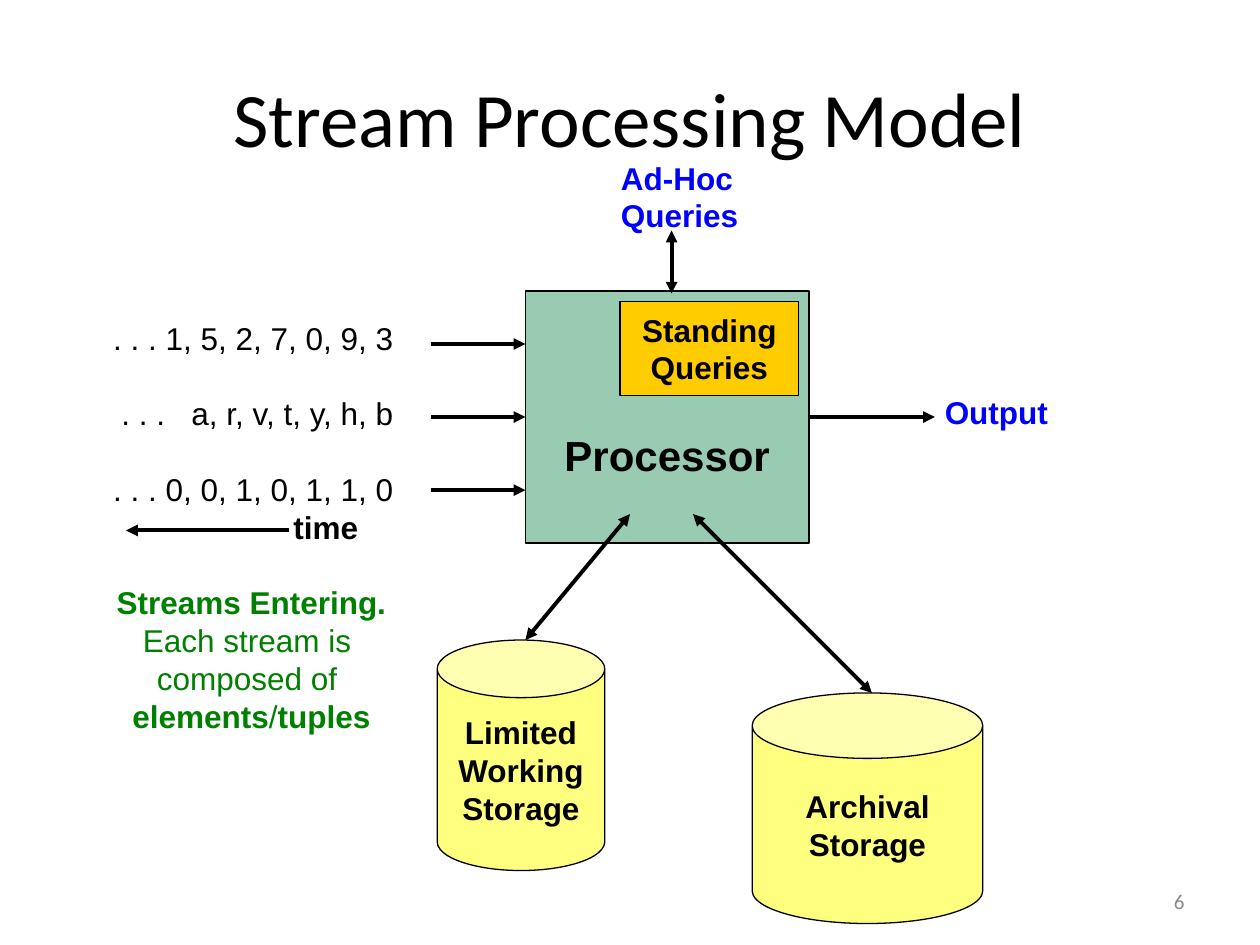
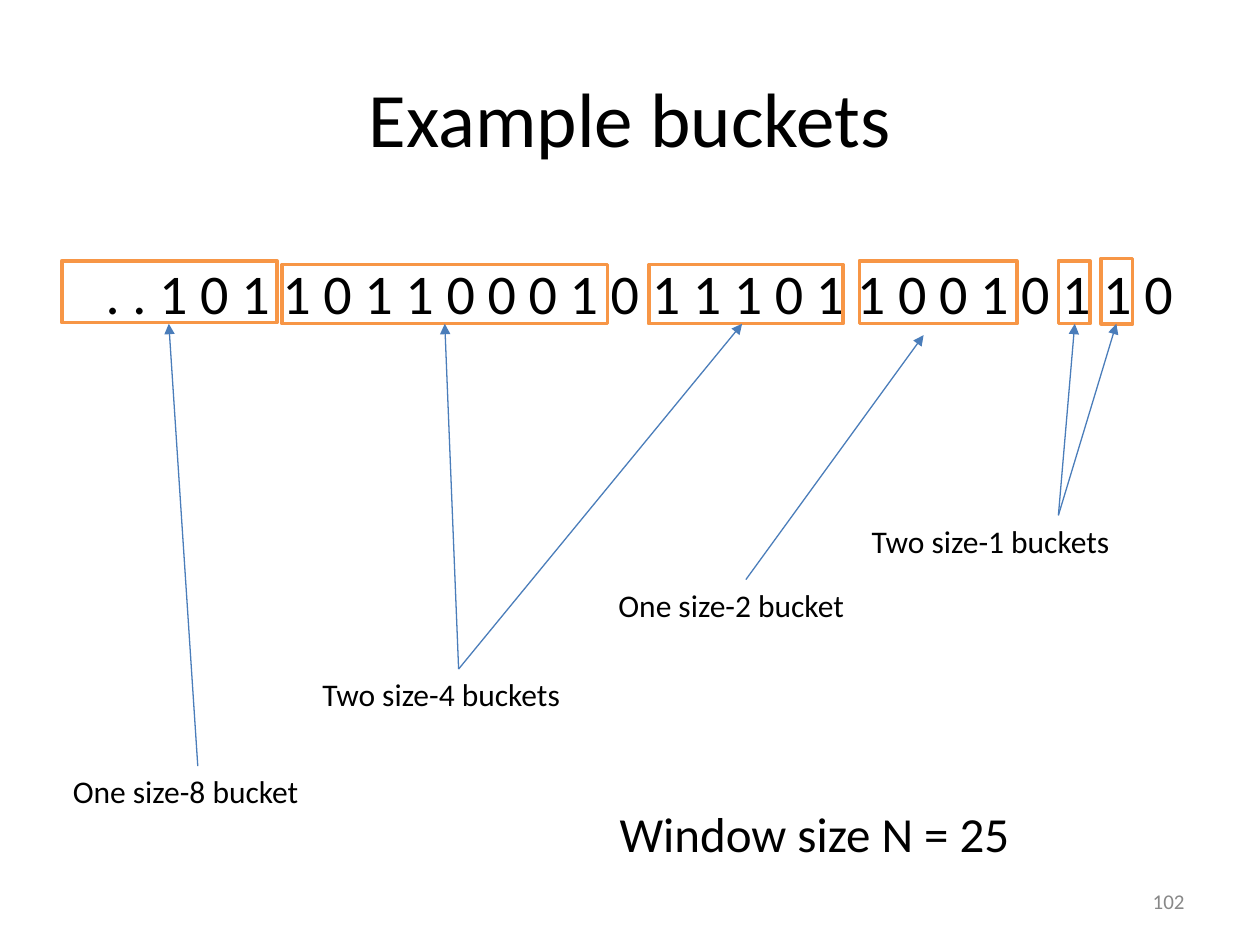
from dataclasses import dataclass

from lxml.etree import SubElement
from pptx import Presentation
from pptx.dml.color import RGBColor
from pptx.enum.shapes import MSO_CONNECTOR, MSO_SHAPE
from pptx.enum.text import MSO_ANCHOR, PP_ALIGN
from pptx.oxml.ns import qn
from pptx.util import Emu, Pt

EMU_PER_PX = 9144


@dataclass(frozen=True)
class Theme:
    black: str = "000000"
    gray: str = "888888"
    blue: str = "0000FF"
    green: str = "008000"
    processor_fill: str = "339966"
    storage_fill: str = "FFFF00"
    query_fill: str = "FFCC00"
    bucket_line: str = "F79646"
    pointer: str = "4A7DBA"
    heading_font: str = "Calibri"
    diagram_font: str = "Arial"
    title_size: int = 44
    bits_size: int = 32
    note_size: int = 28
    processor_size: int = 24
    label_size: int = 18
    number_size: int = 12
    outline: float = 0.75
    bucket_outline: float = 2
    flow: float = 2.25


THEME = Theme()
DIAGRAM_LEADING = 1.2
LABEL_LINE = THEME.label_size * DIAGRAM_LEADING


def px(length):
    return Emu(length * EMU_PER_PX)


def write(box, text, *, size=THEME.label_size, font=THEME.heading_font, color=THEME.black,
          bold=False, align=PP_ALIGN.LEFT, indent=0, before=0):
    frame = box.text_frame
    lines = [[(line, {})] for line in text.split("\n")] if isinstance(text, str) else [text]
    for spans in lines:
        para = frame.paragraphs[-1]
        if para.runs:
            para = frame.add_paragraph()
        para.alignment = align
        para.space_before = Pt(before)
        if font == THEME.diagram_font:
            para.line_spacing = Pt(size * DIAGRAM_LEADING)
        if indent:
            para._p.get_or_add_pPr().set("marL", str(px(indent)))
        for words, changes in spans:
            span = para.add_run()
            span.text = words
            span.font.size = Pt(size)
            span.font.name = font
            span.font.bold = changes.get("bold", bold)
            span.font.color.rgb = RGBColor.from_string(color)
            if "tracking" in changes:
                span._r.get_or_add_rPr().set("spc", str(changes["tracking"] * 100))


def write_diagram(box, text, **text_format):
    write(box, text, **{"font": THEME.diagram_font, "bold": True, **text_format})


def set_frame(box, anchor, top_inset=5):
    frame = box.text_frame
    frame.word_wrap = True
    frame.vertical_anchor = anchor
    frame.margin_left = frame.margin_right = px(10)
    frame.margin_top, frame.margin_bottom = px(top_inset), px(5)


def add_text_box(page, bounds, anchor=MSO_ANCHOR.TOP):
    box = page.shapes.add_textbox(*map(px, bounds))
    set_frame(box, anchor)
    return box


def add_box(page, bounds, *, kind=MSO_SHAPE.RECTANGLE, fill=None, opacity=100,
            line=THEME.black, weight=THEME.outline, top_inset=5):
    box = page.shapes.add_shape(kind, *map(px, bounds))
    box.shadow.inherit = False
    box.line.color.rgb = RGBColor.from_string(line)
    box.line.width = Pt(weight)
    if fill:
        box.fill.solid()
        box.fill.fore_color.rgb = RGBColor.from_string(fill)
        if opacity < 100:
            color = box._element.spPr.find(f"{qn('a:solidFill')}/{qn('a:srgbClr')}")
            SubElement(color, qn("a:alpha"), val=str(opacity * 1000))
    else:
        box.fill.background()
    set_frame(box, MSO_ANCHOR.MIDDLE, top_inset)
    return box


def add_storage(page, bounds, rim, text):
    can = add_box(page, bounds, kind=MSO_SHAPE.CAN, fill=THEME.storage_fill, opacity=50)
    can.adjustments[0] = rim
    write_diagram(can, text, align=PP_ALIGN.CENTER)


def add_arrow(page, start, end, *, color=THEME.black, weight=THEME.flow, both_ways=False):
    arrow = page.shapes.add_connector(MSO_CONNECTOR.STRAIGHT, *map(px, (*start, *end)))
    arrow.line.color.rgb = RGBColor.from_string(color)
    arrow.line.width = Pt(weight)
    line = arrow.line._get_or_add_ln()
    if both_ways:
        SubElement(line, qn("a:headEnd"), type="triangle")
    SubElement(line, qn("a:tailEnd"), type="triangle")
    SubElement(arrow._element.spPr, qn("a:effectLst"))


def add_page(deck, title, number):
    page = deck.slides.add_slide(deck.slide_layouts[6])
    write(add_text_box(page, (50, 30, 900, 125), MSO_ANCHOR.MIDDLE), title,
          size=THEME.title_size, align=PP_ALIGN.CENTER)
    write(add_text_box(page, (717, 695, 233, 40), MSO_ANCHOR.MIDDLE), number,
          size=THEME.number_size, color=THEME.gray, align=PP_ALIGN.RIGHT)
    return page


def add_streams(page):
    box = add_text_box(page, (77, 248, 245, 343))
    plain = {"bold": False, "align": PP_ALIGN.RIGHT}
    write_diagram(box, ". . . 1, 5, 2, 7, 0, 9, 3", **plain)
    write_diagram(box, [(". . .", {}), (" ", {"tracking": 10}), ("a, r, v, t, y, h, b", {})],
                  before=LABEL_LINE, **plain)
    write_diagram(box, ". . . 0, 0, 1, 0, 1, 1, 0", before=LABEL_LINE, **plain)
    write_diagram(box, "time", indent=146)
    caption = {"color": THEME.green, "align": PP_ALIGN.CENTER}
    write_diagram(box, "Streams Entering.", before=LABEL_LINE, **caption)
    write_diagram(box, "Each stream is \ncomposed of ", bold=False, **caption)
    write_diagram(box, [("elements", {}), ("/", {"bold": False}), ("tuples", {})], **caption)
    add_arrow(page, (229, 421), (100, 421))


def add_stream_model(deck):
    page = add_page(deck, "Stream Processing Model", "6")
    processor = add_box(page, (417, 231, 225, 200), fill=THEME.processor_fill,
                        opacity=50, top_inset=65)
    write_diagram(processor, "Processor", size=THEME.processor_size, align=PP_ALIGN.CENTER)
    add_storage(page, (347, 508, 133, 183), 0.344, "Limited\nWorking\nStorage")
    add_arrow(page, (500, 408), (417, 508), both_ways=True)
    for stream in range(3):
        height = 273 + 58 * stream
        add_arrow(page, (342, height), (417, height))
    add_streams(page)
    write_diagram(add_text_box(page, (483, 121, 114, 71)), "Ad-Hoc\nQueries", color=THEME.blue)
    add_arrow(page, (533, 183), (533, 233), both_ways=True)
    write_diagram(add_text_box(page, (740, 307, 106, 40)), "Output", color=THEME.blue)
    add_arrow(page, (642, 331), (742, 331))
    add_storage(page, (597, 550, 183, 183), 0.284, "Archival\nStorage")
    add_arrow(page, (550, 408), (692, 550), both_ways=True)
    standing = add_box(page, (492, 239, 142, 75), fill=THEME.query_fill)
    write_diagram(standing, "Standing\nQueries", align=PP_ALIGN.CENTER)


def add_bucket_example(deck):
    page = add_page(deck, "Example buckets", "102")
    write(add_text_box(page, (74, 200, 900, 495)),
          ". . 1 0 1 1 0 1 1 0 0 0 1 0 1 1 1 0 1 1 0 0 1 0 1 1 0", size=THEME.bits_size)
    buckets = [(874, 205, 25, 52), (840, 207, 25, 50), (682, 207, 125, 50),
               (515, 210, 154, 47), (224, 210, 258, 47), (49, 207, 171, 49)]
    for bounds in buckets:
        add_box(page, bounds, line=THEME.bucket_line, weight=THEME.bucket_outline)
    labels = [
        ("Two size-1 buckets", (682, 409), 840, [(853, 257), (886, 257)]),
        ("Two size-4 buckets", (246, 531), 364, [(353, 257), (589, 257)]),
        ("One size-2 bucket", (481, 460), 592, [(733, 266)]),
        ("One size-8 bucket", (48, 608), 157, [(134, 257)]),
    ]
    for text, (left, top), origin, tips in labels:
        write(add_text_box(page, (left, top, 220, 40)), text)
        for tip in tips:
            add_arrow(page, (origin, top), tip, color=THEME.pointer, weight=THEME.outline)
    write(add_text_box(page, (482, 633, 333, 57)), "Window size N = 25", size=THEME.note_size)


def main():
    deck = Presentation()
    deck.slide_width, deck.slide_height = px(1000), px(750)
    add_stream_model(deck)
    add_bucket_example(deck)
    deck.save("out.pptx")


if __name__ == "__main__":
    main()
